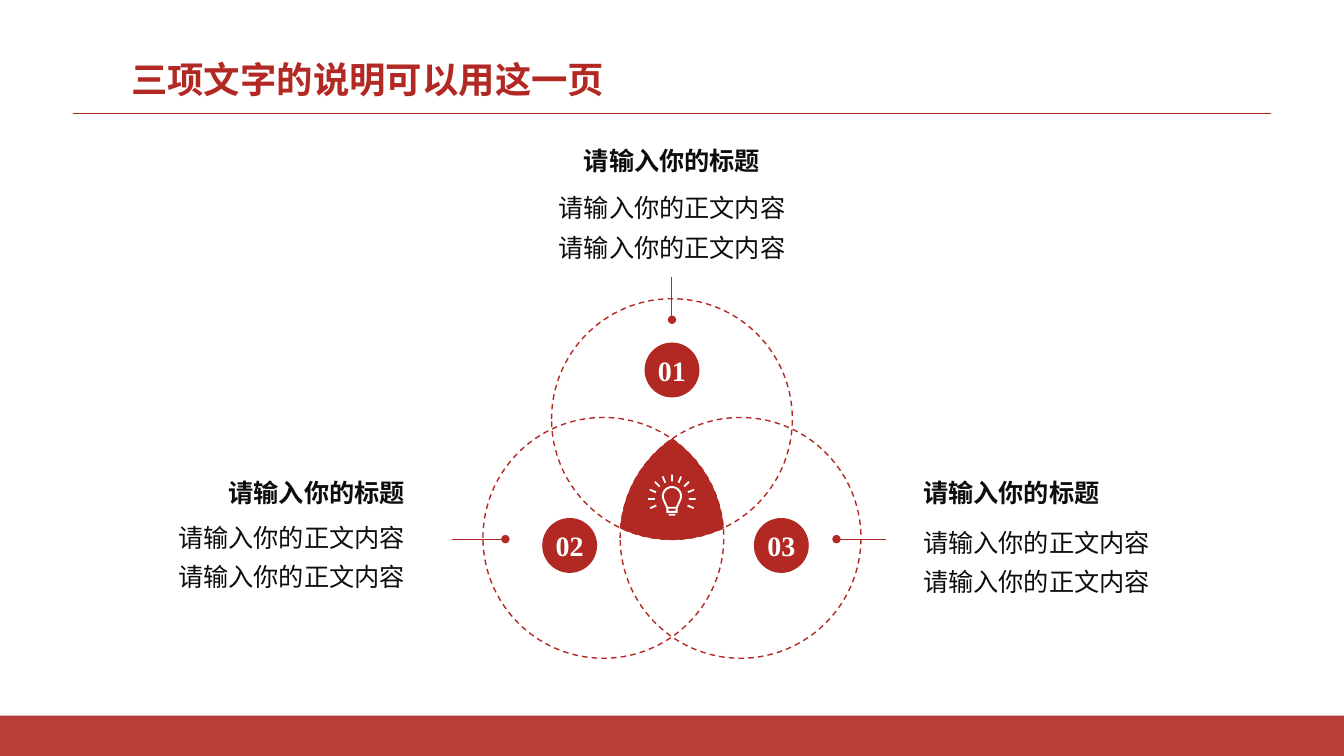
import math

import lxml.etree
import pptx
import pptx.dml.color
import pptx.enum.dml
import pptx.enum.shapes
import pptx.enum.text
import pptx.oxml.ns
import pptx.util

Pt = pptx.util.Pt
RGBColor = pptx.dml.color.RGBColor
Align = pptx.enum.text.PP_ALIGN
Shape = pptx.enum.shapes.MSO_SHAPE
qn = pptx.oxml.ns.qn

RED = RGBColor(0xB2, 0x29, 0x24)
INK = RGBColor(0x0D, 0x0D, 0x0D)
WHITE = RGBColor(0xFF, 0xFF, 0xFF)
SANS = "Noto Sans CJK SC"
SERIF = "Times New Roman"


def sub(parent, tag, **attrs):
    return lxml.etree.SubElement(parent, qn(tag), attrs)


def style(para, size, color, bold=False, face=SANS, align=Align.LEFT):
    """Format a paragraph, with the sans face for its Chinese glyphs."""
    para.alignment = align
    font = para.font
    font.size, font.bold, font.name = Pt(size), bold, face
    font.color.rgb = color
    sub(para._p.pPr.find(qn("a:defRPr")), "a:ea", typeface=SANS)


def paint(shape, fill=None, line=None, width=1):
    shape.shadow.inherit = False
    if fill is None:
        shape.fill.background()
    else:
        shape.fill.solid()
        shape.fill.fore_color.rgb = fill
    if line is None:
        shape.line.fill.background()
    else:
        shape.line.color.rgb = line
        shape.line.width = Pt(width)


def add_line(slide, start, end, width, dot=False):
    """Draw a red line, with a round dot at its end if asked."""
    line = slide.shapes.add_connector(
        pptx.enum.shapes.MSO_CONNECTOR.STRAIGHT, *map(Pt, start + end))
    line.line.color.rgb = RED
    line.line.width = Pt(width)
    if dot:
        sub(line.line._get_or_add_ln(), "a:tailEnd", type="oval")
    sub(line._element.spPr, "a:effectLst")


def add_disc(slide, x, y, radius):
    return slide.shapes.add_shape(
        Shape.OVAL, Pt(x - radius), Pt(y - radius), Pt(2 * radius), Pt(2 * radius))


def arc(x, y, radius, first, last, steps=16):
    """Points on a circle, from one angle in degrees to another."""
    angles = [math.radians(first + (last - first) * i / steps) for i in range(steps + 1)]
    return [(x + radius * math.cos(a), y + radius * math.sin(a)) for a in angles]


def add_free(slide, outlines):
    build = None
    for outline in outlines:
        points = [(Pt(x), Pt(y)) for x, y in outline]
        if build is None:
            build = slide.shapes.build_freeform(*points[0])
        else:
            build.move_to(*points[0])
        build.add_line_segments(points[1:], close=True)
    return build.convert_to_shape()


def add_frame(slide, width, height):
    """Place the title, the rule below it and the band at the foot."""
    title = slide.shapes.title
    title.left, title.top, title.width, title.height = map(Pt, (93.6, 45.4, 576, 26.6))
    frame = title.text_frame
    frame.margin_left = frame.margin_right = frame.margin_top = frame.margin_bottom = 0
    frame.vertical_anchor = pptx.enum.text.MSO_ANCHOR.MIDDLE
    frame.auto_size = pptx.enum.text.MSO_AUTO_SIZE.NONE
    frame.text = "三项文字的说明可以用这一页"
    frame.paragraphs[0].line_spacing = 0.9
    style(frame.paragraphs[0], 26, RED, True, SERIF)
    add_line(slide, (52, 80.8), (width - 52, 80.8), 0.5)
    band = slide.shapes.add_shape(Shape.RECTANGLE, 0, Pt(height - 28.8), Pt(width), Pt(28.8))
    paint(band, RED)
    color = band._element.spPr.find(qn("a:solidFill")).find(qn("a:srgbClr"))
    sub(color, "a:alpha", val="90000")


def add_note(slide, x, y, drop, align):
    """Place a heading and, drop points lower, two lines of body text."""
    parts = [
        (y, 28.8, ["请输入你的标题"], True, 1),
        (y + drop, 61.2, ["请输入你的正文内容"] * 2, False, 1.3),
    ]
    for top, height, lines, bold, space in parts:
        box = slide.shapes.add_textbox(Pt(x), Pt(top), Pt(196.6), Pt(height))
        box.text_frame.word_wrap = True
        box.text_frame.text = "\n".join(lines)
        for para in box.text_frame.paragraphs:
            para.line_spacing = space
            style(para, 18, INK, bold, align=align)


def add_badge(slide, x, y, label):
    badge = add_disc(slide, x, y, 19.6)
    paint(badge, RED)
    frame = badge.text_frame
    frame.margin_left = frame.margin_right = frame.margin_top = frame.margin_bottom = 0
    frame.word_wrap = False
    frame.vertical_anchor = pptx.enum.text.MSO_ANCHOR.MIDDLE
    frame.text = label
    style(frame.paragraphs[0], 20, WHITE, True, SERIF, Align.CENTER)


def add_bulb(slide, x, y):
    """Draw a light bulb with eleven rays; x, y is the centre of its glass."""
    def bar(half, top, low):
        return [(x - half, y + top), (x + half, y + top),
                (x + half, y + low), (x - half, y + low)]

    outlines = [
        arc(x, y, 7.2, 160, 380) + bar(4, 8.6, 11.9)[1:] + [(x - 4, y + 8.6)],
        arc(x, y, 5.8, 160, 380) + [(x + 2.9, y + 7.6), (x - 2.9, y + 7.6)],
        bar(2.6, 9, 10.5),
        bar(2.4, 12.7, 14),
    ]
    for i in range(11):
        angle = math.radians(156 + 22.8 * i)
        dx, dy = math.cos(angle), math.sin(angle)
        outlines.append([
            (x + r * dx - side * dy, y + 1.7 + r * dy + side * dx)
            for r, side in ((12.2, -0.65), (17, -0.65), (17, 0.65), (12.2, 0.65))])
    paint(add_free(slide, outlines), WHITE)


def add_rings(slide, x, y):
    """Draw three dashed rings and their shared core; x, y centres the top ring."""
    radius, side, drop = 86, 49, 84.8
    rings = [(x, y), (x + side, y + drop), (x - side, y + drop)]
    for ring in rings:
        disc = add_disc(slide, *ring, radius)
        paint(disc, line=RED)
        disc.line.dash_style = pptx.enum.dml.MSO_LINE.DASH
    spans = [(64.5, 115.5), (184.6, 235.3), (304.7, 355.4)]
    core = [point for ring, span in zip(rings, spans) for point in arc(*ring, radius, *span)]
    paint(add_free(slide, [core]), RED, RED, 0.5)
    add_bulb(slide, x, y + 55)
    add_line(slide, (x, y - 101.3), (x, y - 71), 0.75, True)
    add_line(slide, (x - 157, y + 85.7), (x - 119, y + 85.7), 0.75, True)
    add_line(slide, (x + 153, y + 85.7), (x + 117.5, y + 85.7), 0.75, True)
    add_badge(slide, x, y - 35.1, "01")
    add_badge(slide, x - 73.1, y + 90.2, "02")
    add_badge(slide, x + 78.1, y + 90.2, "03")


def main():
    deck = pptx.Presentation()
    deck.slide_width, deck.slide_height = Pt(960), Pt(540)
    slide = deck.slides.add_slide(deck.slide_layouts[5])
    add_frame(slide, 960, 540)
    add_note(slide, 381.7, 100.1, 27.4, Align.CENTER)
    add_note(slide, 652.3, 337.7, 28.8, Align.LEFT)
    add_note(slide, 99.7, 337.7, 25.2, Align.RIGHT)
    add_rings(slide, 480, 299.4)
    deck.save("out.pptx")


if __name__ == "__main__":
    main()
